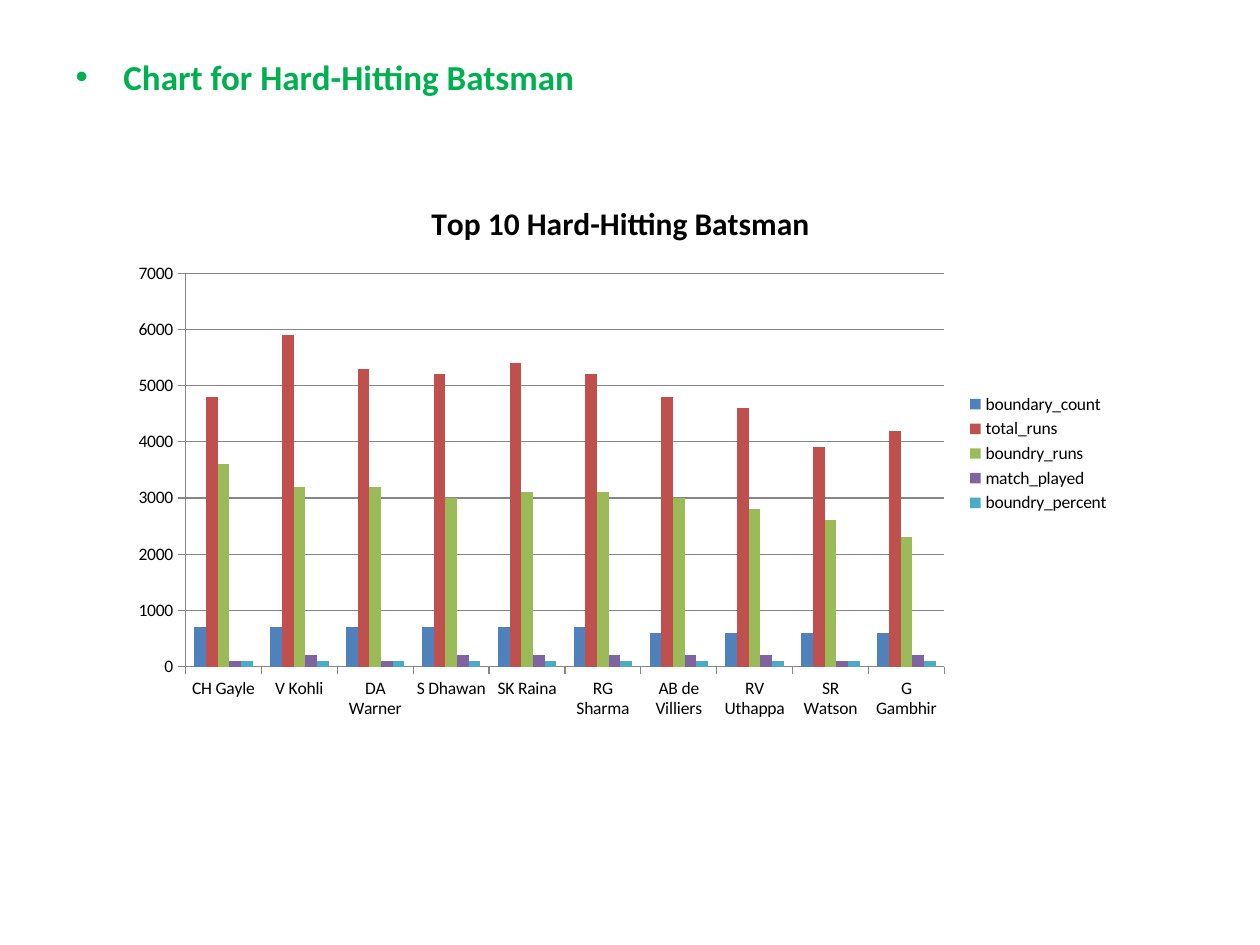
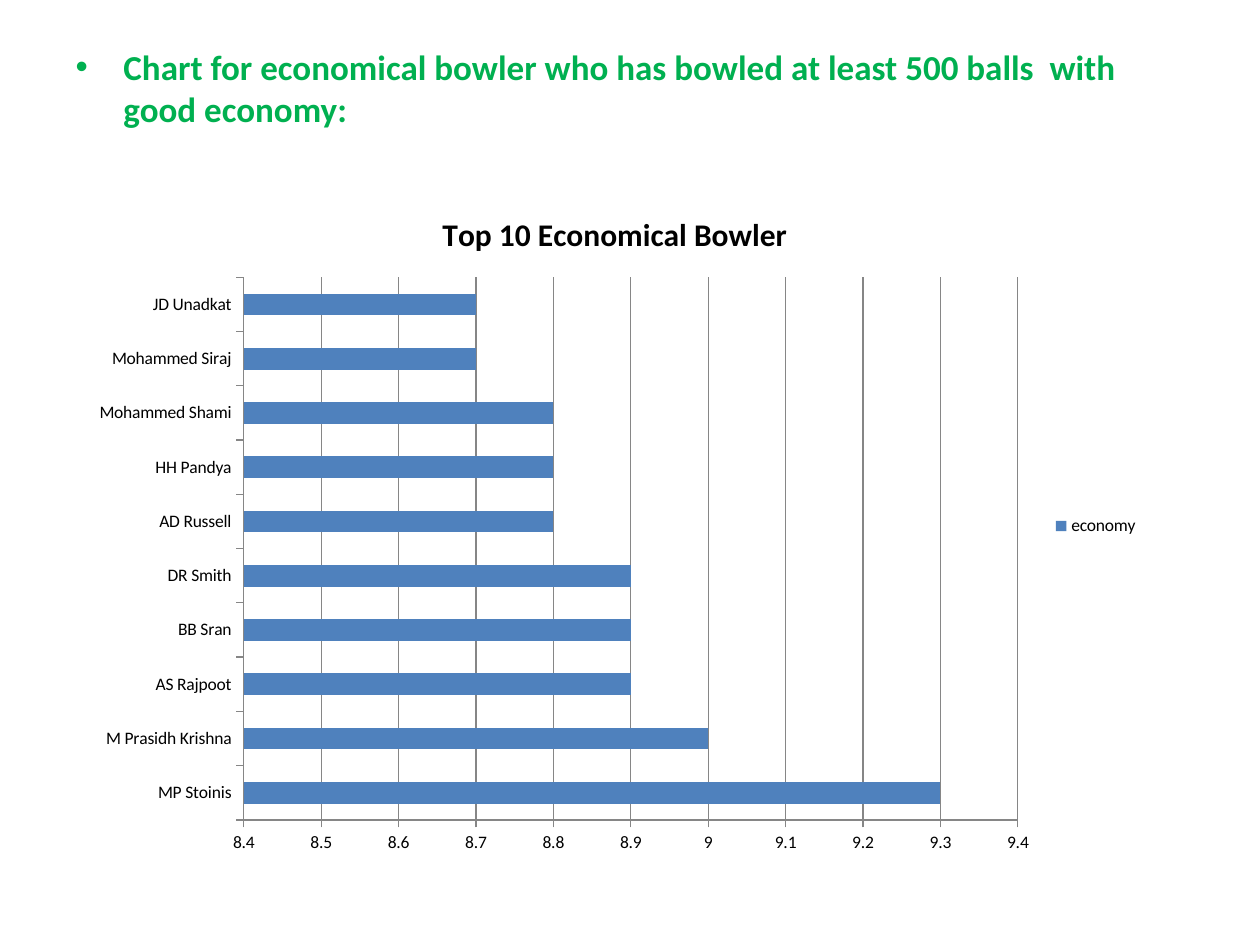
from dataclasses import dataclass

from lxml import etree
from pptx import Presentation
from pptx.chart.data import CategoryChartData
from pptx.dml.color import RGBColor
from pptx.enum.chart import XL_CHART_TYPE, XL_LEGEND_POSITION, XL_TICK_MARK
from pptx.enum.text import MSO_ANCHOR, MSO_AUTO_SIZE, PP_ALIGN
from pptx.oxml.ns import qn
from pptx.util import Inches, Pt

COLUMN = XL_CHART_TYPE.COLUMN_CLUSTERED
BAR = XL_CHART_TYPE.BAR_CLUSTERED
RIGHT = XL_LEGEND_POSITION.RIGHT
OUTSIDE = XL_TICK_MARK.OUTSIDE
NO_TICK = XL_TICK_MARK.NONE
LEFT = PP_ALIGN.LEFT
TOP = MSO_ANCHOR.TOP
NO_FIT = MSO_AUTO_SIZE.NONE
TITLE_ONLY = 5

# Content
SLIDES = [
    {
        "title": "Chart for Hard-Hitting Batsman",
        "box": (0.5, 0.39, 9, 6.31),
        "kind": COLUMN,
        "place": (0.94, 1.41, 7.97, 4.38),
        "head": "Top 10 Hard-Hitting Batsman",
        "scale": (0, 7000, 1000),
        "names": ["CH Gayle", "V Kohli", "DA Warner", "S Dhawan", "SK Raina",
                  "RG Sharma", "AB de Villiers", "RV Uthappa", "SR Watson",
                  "G Gambhir"],
        "series": {
            "boundary_count": [700, 700, 700, 700, 700, 700, 600, 600, 600, 600],
            "total_runs": [4800, 5900, 5300, 5200, 5400,
                           5200, 4800, 4600, 3900, 4200],
            "boundry_runs": [3600, 3200, 3200, 3000, 3100,
                             3100, 3000, 2800, 2600, 2300],
            "match_played": [100, 200, 100, 200, 200, 200, 200, 200, 100, 200],
            "boundry_percent": [100] * 10,
        },
    },
    {
        "title": "Chart for economical bowler who has bowled at least 500 balls"
                 "  with good economy:",
        "box": (0.5, 0.31, 9, 6.39),
        "kind": BAR,
        "place": (0.62, 1.48, 8.52, 5.39),
        "head": "Top 10 Economical Bowler",
        "scale": (8.4, 9.4, 0.1),
        "names": ["MP Stoinis", "M Prasidh Krishna", "AS Rajpoot", "BB Sran",
                  "DR Smith", "AD Russell", "HH Pandya", "Mohammed Shami",
                  "Mohammed Siraj", "JD Unadkat"],
        "series": {
            "economy": [9.3, 9, 8.9, 8.9, 8.9, 8.8, 8.8, 8.8, 8.7, 8.7],
        },
    },
]


@dataclass(frozen=True)
class Theme:
    font: str = "Calibri"
    green: str = "00B050"
    black: str = "000000"
    grid: str = "868686"
    fills: tuple = ("4F81BD", "C0504D", "9BBB59", "8064A2", "4BACC6")
    title: int = 20
    head: int = 18
    label: int = 10
    line: float = 0.75
    indent: float = 0.38


THEME = Theme()


def style(font, *, size, color=THEME.black, bold=False):
    font.name = THEME.font
    font.size = Pt(size)
    font.bold = bold
    font.color.rgb = RGBColor.from_string(color)


def write(frame, text, **format):
    """Set one paragraph of text and its character format."""
    para = frame.paragraphs[0]
    run = para.add_run()
    run.text = text
    style(run.font, **format)
    return para


def bullet(para):
    """Give a paragraph a hanging round bullet."""
    props = para._p.get_or_add_pPr()
    indent = Inches(THEME.indent)
    props.set("marL", str(indent))
    props.set("indent", str(-indent))
    for old in props.findall(qn("a:buNone")):
        props.remove(old)
    etree.SubElement(props, qn("a:buFont")).set("typeface", "Arial")
    etree.SubElement(props, qn("a:buChar")).set("char", "•")


def add_title(slide, text, box):
    title = slide.shapes.title
    title.left, title.top, title.width, title.height = map(Inches, box)
    frame = title.text_frame
    frame.word_wrap = True
    frame.auto_size = NO_FIT
    frame.vertical_anchor = TOP
    para = write(frame, text, size=THEME.title, color=THEME.green, bold=True)
    para.alignment = LEFT
    para.space_before = Pt(THEME.title * 0.2)
    bullet(para)


def rule(line):
    line.color.rgb = RGBColor.from_string(THEME.grid)
    line.width = Pt(THEME.line)


def add_chart(slide, item):
    data = CategoryChartData()
    data.categories = item["names"]
    for name, values in item["series"].items():
        data.add_series(name, values)
    place = map(Inches, item["place"])
    chart = slide.shapes.add_chart(item["kind"], *place, data).chart
    style(chart.font, size=THEME.label)

    # Heading and legend
    chart.has_title = True
    write(chart.chart_title.text_frame, item["head"],
          size=THEME.head, bold=True)
    chart.chart_title.include_in_layout = False
    chart.has_legend = True
    chart.legend.position = RIGHT
    chart.legend.include_in_layout = False

    # Axes
    for axis in (chart.category_axis, chart.value_axis):
        axis.major_tick_mark = OUTSIDE
        axis.minor_tick_mark = NO_TICK
        rule(axis.format.line)
    axis = chart.value_axis
    axis.minimum_scale, axis.maximum_scale, axis.major_unit = item["scale"]
    axis.has_major_gridlines = True
    rule(axis.major_gridlines.format.line)

    # Bars
    plot = chart.plots[0]
    plot.vary_by_categories = False
    plot.gap_width = 150
    plot.overlap = 0
    for series, color in zip(plot.series, THEME.fills):
        series.invert_if_negative = False
        series.format.fill.solid()
        series.format.fill.fore_color.rgb = RGBColor.from_string(color)


def main():
    deck = Presentation()
    deck.slide_width, deck.slide_height = Inches(10), Inches(7.5)
    for item in SLIDES:
        slide = deck.slides.add_slide(deck.slide_layouts[TITLE_ONLY])
        add_title(slide, item["title"], item["box"])
        add_chart(slide, item)
    deck.save("out.pptx")


if __name__ == "__main__":
    main()
